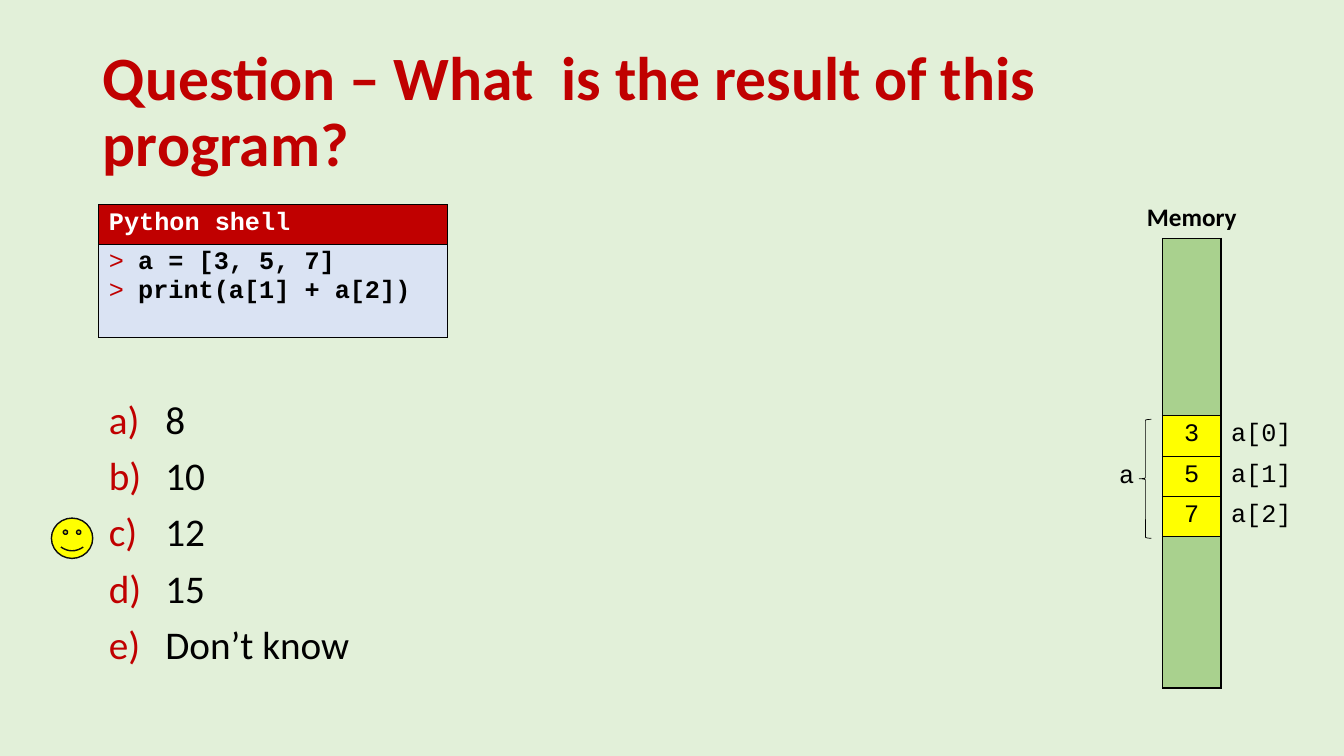
from typing import NamedTuple, Optional

from lxml.etree import SubElement
from pptx import Presentation
from pptx.dml.color import RGBColor
from pptx.enum.shapes import MSO_SHAPE
from pptx.enum.text import MSO_ANCHOR, MSO_AUTO_SIZE, PP_ALIGN
from pptx.oxml.ns import qn
from pptx.util import Inches, Pt

RED = RGBColor(0xC0, 0x00, 0x00)
BLACK = RGBColor(0x00, 0x00, 0x00)
NEAR_BLACK = RGBColor(0x0D, 0x0D, 0x0D)
WHITE = RGBColor(0xFF, 0xFF, 0xFF)
YELLOW = RGBColor(0xFF, 0xFF, 0x00)
GREEN = RGBColor(0xA9, 0xD1, 0x8E)
PALE_GREEN = RGBColor(0xE2, 0xF0, 0xD9)
PALE_BLUE = RGBColor(0xDA, 0xE3, 0xF3)
SANS, MONO = "Calibri", "Courier New"
NO_STYLE = "{2D5ABB26-0587-4C30-8999-92F81FD0307C}"


class Box(NamedTuple):
    left: float
    top: float
    width: float
    height: float

    def lengths(self) -> tuple:
        return tuple(Inches(value) for value in self)


class TextStyle(NamedTuple):
    font: str
    size: float
    color: RGBColor = BLACK
    bold: bool = False


class Symbol(NamedTuple):
    preset: MSO_SHAPE
    box: Box
    fill: Optional[RGBColor]
    line: RGBColor
    line_width: float


TITLE_STYLE = TextStyle(SANS, 44, RED, True)
ANSWER_STYLE = TextStyle(SANS, 28)
SHELL_TITLE_STYLE = TextStyle(MONO, 18, WHITE, True)
CODE_STYLE = TextStyle(MONO, 18, BLACK, True)
MEMORY_TITLE_STYLE = TextStyle(SANS, 18, BLACK, True)
MEMORY_STYLE = TextStyle(MONO, 18)

ANSWERS = ["8", "10", "12", "15", "Don’t know"]
CODE = ["a = [3, 5, 7]", "print(a[1] + a[2])"]
VALUES = [3, 5, 7]
SYMBOLS = [
    Symbol(MSO_SHAPE.LEFT_BRACE, Box(11.3, 4.16, 0.12, 1.18), None, BLACK, 0.5),
    Symbol(MSO_SHAPE.SMILEY_FACE, Box(0.51, 5.14, 0.41, 0.4), YELLOW, NEAR_BLACK, 1),
]


def add_bullet(paragraph, indent: float, kind: str, **attributes: str) -> None:
    properties = paragraph._p.get_or_add_pPr()
    properties.set("marL", str(Inches(indent)))
    properties.set("indent", str(Inches(-indent)))
    color = SubElement(properties, qn("a:buClr"))
    SubElement(color, qn("a:srgbClr"), val=str(RED))
    if kind == "a:buChar":
        SubElement(properties, qn("a:buFont"), typeface=MONO)
    SubElement(properties, qn(kind), **attributes)


def add_run(paragraph, text: str, style: TextStyle) -> None:
    run = paragraph.add_run()
    run.text = text
    run.font.name = style.font
    run.font.size = Pt(style.size)
    run.font.bold = style.bold
    run.font.color.rgb = style.color


def next_paragraph(text_frame, index: int):
    return text_frame.add_paragraph() if index else text_frame.paragraphs[0]


def place(shape, box: Box) -> None:
    shape.left, shape.top, shape.width, shape.height = box.lengths()


def add_table(slide, box: Box, columns: list[float], rows: list[float]):
    frame = slide.shapes.add_table(len(rows), len(columns), *box.lengths())
    table = frame.table
    table.first_row = table.horz_banding = False
    frame._element.find(".//" + qn("a:tableStyleId")).text = NO_STYLE
    for column, width in zip(table.columns, columns):
        column.width = Inches(width)
    for row, height in zip(table.rows, rows):
        row.height = Inches(height)
    return table


def add_borders(cell, sides: str, width: float) -> None:
    properties = cell._tc.get_or_add_tcPr()
    for side in sides:
        line = SubElement(properties, qn(f"a:ln{side}"), w=str(Pt(width)))
        fill = SubElement(line, qn("a:solidFill"))
        SubElement(fill, qn("a:srgbClr"), val=str(BLACK))


def fill_cell(cell, color: RGBColor, line_width: float) -> None:
    add_borders(cell, "LRTB", line_width)
    cell.fill.solid()
    cell.fill.fore_color.rgb = color


def write_cell(cell, text: str, style: TextStyle, align=PP_ALIGN.LEFT) -> None:
    paragraph = cell.text_frame.paragraphs[0]
    paragraph.alignment = align
    add_run(paragraph, text, style)


def add_title(slide) -> None:
    title = slide.shapes.title
    place(title, Box(0.92, 0.4, 11.5, 1.45))
    title.text_frame.auto_size = MSO_AUTO_SIZE.NONE
    title.text_frame.vertical_anchor = MSO_ANCHOR.MIDDLE
    paragraph = title.text_frame.paragraphs[0]
    paragraph.alignment = PP_ALIGN.LEFT
    paragraph.line_spacing = 0.9
    add_run(paragraph, "Question – What  is the result of this program?", TITLE_STYLE)


def add_answers(slide) -> None:
    body = slide.placeholders[1]
    place(body, Box(0.98, 3.92, 7.05, 3.58))
    body.text_frame.auto_size = MSO_AUTO_SIZE.NONE
    for index, answer in enumerate(ANSWERS):
        paragraph = next_paragraph(body.text_frame, index)
        add_bullet(paragraph, 0.56, "a:buAutoNum", type="alphaLcParenR")
        paragraph.line_spacing = 0.9
        paragraph.space_before = Pt(10 if index else 0)
        add_run(paragraph, answer, ANSWER_STYLE)


def add_shell(slide) -> None:
    table = add_table(slide, Box(0.98, 2.03, 3.46, 1.32), [3.46], [0.39, 0.93])
    header, code = table.cell(0, 0), table.cell(1, 0)
    fill_cell(header, RED, 0.5)
    header.vertical_anchor = MSO_ANCHOR.MIDDLE
    write_cell(header, "Python shell", SHELL_TITLE_STYLE)
    fill_cell(code, PALE_BLUE, 0.5)
    for index, statement in enumerate(CODE):
        paragraph = next_paragraph(code.text_frame, index)
        add_bullet(paragraph, 0.29, "a:buChar", char=">")
        add_run(paragraph, statement, CODE_STYLE)


def add_memory(slide) -> None:
    row_height = 0.4
    heights = [row_height, 1.76, *[row_height] * len(VALUES), 1.5]
    box = Box(10.55, 1.96, 2.54, sum(heights))
    table = add_table(slide, box, [0.98, 0.58, 0.98], heights)

    # Heading over all three columns
    table.cell(0, 0).merge(table.cell(0, 2))
    write_cell(table.cell(0, 0), "Memory", MEMORY_TITLE_STYLE, PP_ALIGN.CENTER)

    # Memory column, with free space above and below the list
    first, last = 2, 1 + len(VALUES)
    for row in range(1, len(heights)):
        color = YELLOW if first <= row <= last else GREEN
        fill_cell(table.cell(row, 1), color, 1)
    for index, value in enumerate(VALUES):
        row = first + index
        write_cell(table.cell(row, 1), str(value), MEMORY_STYLE, PP_ALIGN.CENTER)
        write_cell(table.cell(row, 2), f"a[{index}]", MEMORY_STYLE)

    # Variable name beside the brace
    name = table.cell(first, 0)
    name.merge(table.cell(last, 0))
    name.vertical_anchor = MSO_ANCHOR.MIDDLE
    name.margin_right = Inches(0.28)
    write_cell(name, "a", MEMORY_STYLE, PP_ALIGN.RIGHT)


def add_symbol(slide, symbol: Symbol) -> None:
    shape = slide.shapes.add_shape(symbol.preset, *symbol.box.lengths())
    shape.shadow.inherit = False
    if symbol.fill is None:
        shape.fill.background()
    else:
        shape.fill.solid()
        shape.fill.fore_color.rgb = symbol.fill
    shape.line.color.rgb = symbol.line
    shape.line.width = Pt(symbol.line_width)


def main() -> None:
    presentation = Presentation()
    presentation.slide_width, presentation.slide_height = Inches(13.33), Inches(7.5)
    slide = presentation.slides.add_slide(presentation.slide_layouts[1])
    slide.background.fill.solid()
    slide.background.fill.fore_color.rgb = PALE_GREEN
    add_title(slide)
    add_answers(slide)
    add_shell(slide)
    add_memory(slide)
    for symbol in SYMBOLS:
        add_symbol(slide, symbol)
    presentation.save("out.pptx")


if __name__ == "__main__":
    main()
